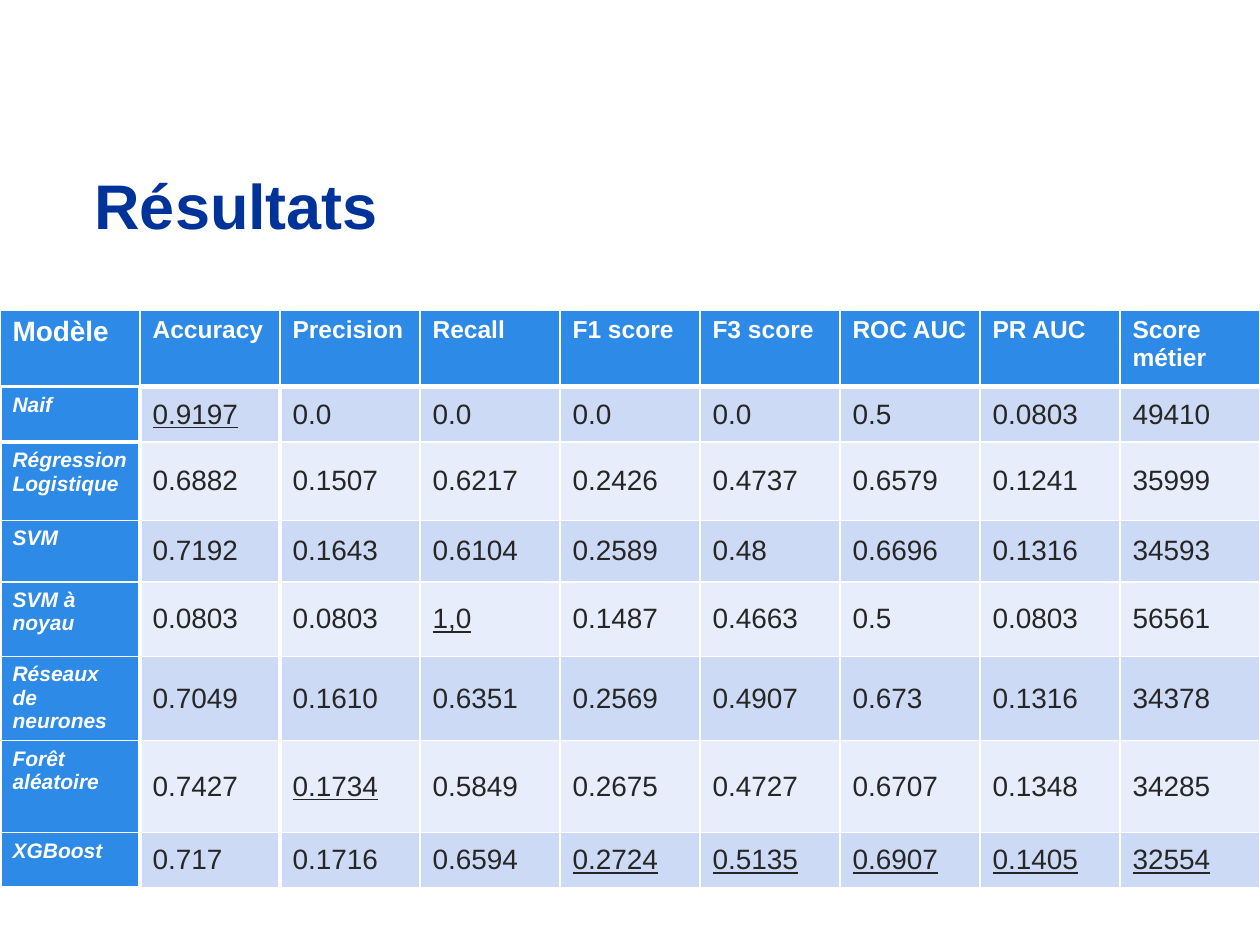
from lxml import etree
from pptx import Presentation
from pptx.dml.color import RGBColor
from pptx.enum import text
from pptx.oxml import ns
from pptx.util import Inches, Pt

NAVY = RGBColor(0x00, 0x33, 0x99)
BLUE = RGBColor(0x2D, 0x8A, 0xE7)
WHITE = RGBColor(0xFF, 0xFF, 0xFF)
INK = RGBColor(0x26, 0x26, 0x26)
BANDS = [RGBColor(0xCD, 0xDA, 0xF5), RGBColor(0xE7, 0xED, 0xFA)]
FONT = "Arial"
THIN, MEDIUM, THICK = 0.96, 2.21, 3

HEADER = ["Modèle", "Accuracy", "Precision", "Recall", "F1 score",
          "F3 score", "ROC AUC", "PR AUC", "Score métier"]
RESULTS = [
    ["Naif", "0.9197", "0.0", "0.0", "0.0", "0.0", "0.5", "0.0803", "49410"],
    ["Régression Logistique", "0.6882", "0.1507", "0.6217", "0.2426",
     "0.4737", "0.6579", "0.1241", "35999"],
    ["SVM", "0.7192", "0.1643", "0.6104", "0.2589",
     "0.48", "0.6696", "0.1316", "34593"],
    ["SVM à noyau", "0.0803", "0.0803", "1,0", "0.1487",
     "0.4663", "0.5", "0.0803", "56561"],
    ["Réseaux de neurones", "0.7049", "0.1610", "0.6351", "0.2569",
     "0.4907", "0.673", "0.1316", "34378"],
    ["Forêt aléatoire", "0.7427", "0.1734", "0.5849", "0.2675",
     "0.4727", "0.6707", "0.1348", "34285"],
    ["XGBoost", "0.717", "0.1716", "0.6594", "0.2724",
     "0.5135", "0.6907", "0.1405", "32554"],
]
ROW_HEIGHTS = [0.61, 0.44, 0.62, 0.49, 0.59, 0.67, 0.73, 0.44]


def number(value):
    return float(value.replace(",", "."))


def best_scores():
    columns = list(zip(*RESULTS))[1:]
    best = [max(col, key=number) for col in columns[:-1]]
    return best + [min(columns[-1], key=number)]


def vertical_width(row, edge):
    return MEDIUM if row > 0 and edge <= 2 else THIN


def horizontal_width(edge, col):
    if col == 0:
        return MEDIUM if edge in (1, 2, len(ROW_HEIGHTS)) else THIN
    return THICK if edge == 1 else THIN


def set_borders(cell, row, col):
    widths = {
        "a:lnL": vertical_width(row, col),
        "a:lnR": vertical_width(row, col + 1),
        "a:lnT": horizontal_width(row, col),
        "a:lnB": horizontal_width(row + 1, col),
    }
    tc_pr = cell._tc.get_or_add_tcPr()
    for tag, width in widths.items():
        ln = etree.SubElement(tc_pr, ns.qn(tag), w=str(Pt(width)))
        fill = etree.SubElement(ln, ns.qn("a:solidFill"))
        etree.SubElement(fill, ns.qn("a:srgbClr"), val=str(WHITE))


def set_font(p, size, color, bold=False, italic=False, underline=False):
    f = p.font
    f.name, f.size, f.color.rgb = FONT, Pt(size), color
    f.bold, f.italic, f.underline = bold, italic, underline


def add_title(s, left, top, width, height):
    sp = s.shapes.title
    sp.left, sp.top, sp.width, sp.height = left, top, width, height
    tf = sp.text_frame
    tf.text = "Résultats"
    tf.vertical_anchor = text.MSO_ANCHOR.MIDDLE
    p = tf.paragraphs[0]
    p.alignment = text.PP_ALIGN.LEFT
    set_font(p, 36, NAVY, bold=True)


def add_results_table(s, left, top, width, height):
    rows = [HEADER] + RESULTS
    best = best_scores()
    table = s.shapes.add_table(len(rows), len(HEADER), left, top, width, height).table
    for column in table.columns:
        column.width = width // len(HEADER)
    for r, values in enumerate(rows):
        table.rows[r].height = Inches(ROW_HEIGHTS[r])
        for c, value in enumerate(values):
            cell = table.cell(r, c)
            cell.text = value
            p = cell.text_frame.paragraphs[0]
            set_borders(cell, r, c)
            cell.fill.solid()
            if r == 0:
                cell.fill.fore_color.rgb = BLUE
                set_font(p, 16 if c == 0 else 14, WHITE, bold=True)
            elif c == 0:
                cell.fill.fore_color.rgb = BLUE
                set_font(p, 12, WHITE, bold=True, italic=True)
            else:
                cell.fill.fore_color.rgb = BANDS[(r - 1) % 2]
                cell.vertical_anchor = text.MSO_ANCHOR.MIDDLE
                set_font(p, 16, INK, underline=value == best[c - 1])


def main():
    prs = Presentation()
    prs.slide_width, prs.slide_height = Inches(10), Inches(7.5)
    s = prs.slides.add_slide(prs.slide_layouts[5])
    add_title(s, Inches(0.65), Inches(1.23), Inches(7.17), Inches(0.79))
    add_results_table(s, Inches(0), Inches(2.46), Inches(10), Inches(sum(ROW_HEIGHTS)))
    prs.save("out.pptx")


if __name__ == "__main__":
    main()
